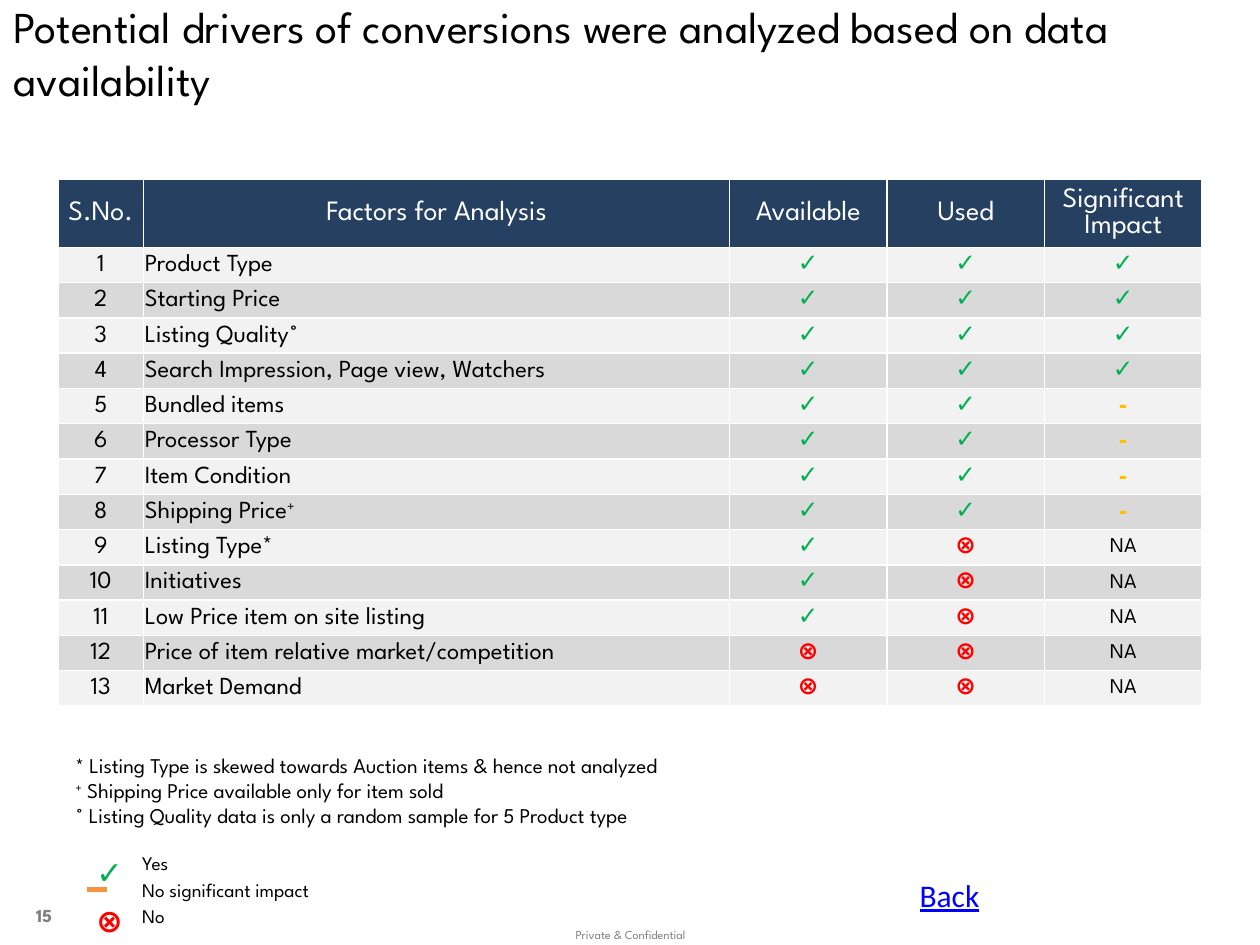
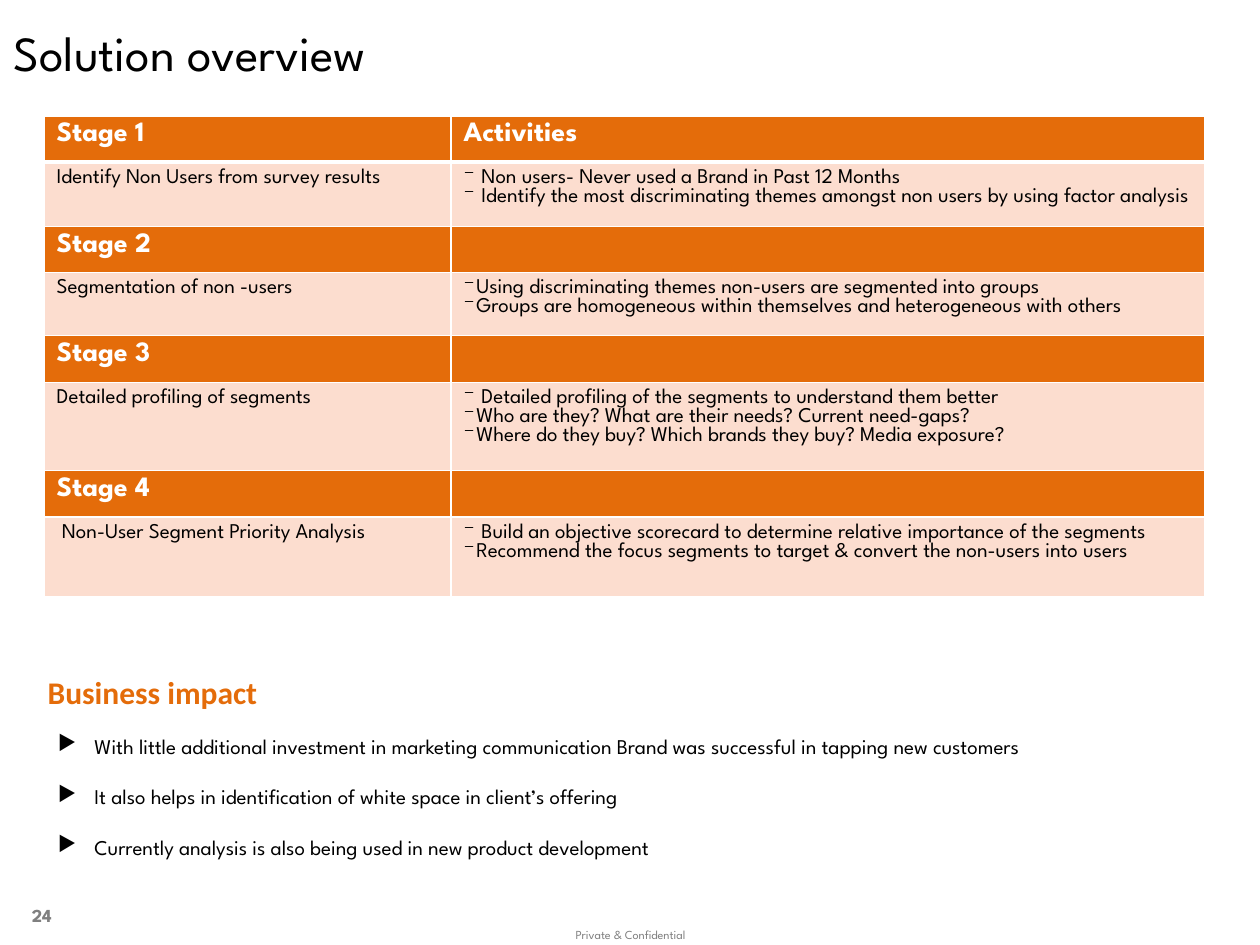
from lxml import etree
from pptx import Presentation
from pptx import util as u
from pptx.dml.color import RGBColor
from pptx.enum import shapes, text as t
from pptx.oxml.ns import qn

PX = 9144  # 100 px to the inch
FONT = "League Spartan"
COLORS = {
    "black": "000000", "white": "FFFFFF", "grey": "808080", "navy": "254061",
    "light": "F2F2F2", "band": "D9D9D9", "green": "00B050", "red": "FF0000",
    "amber": "FFC000", "dash": "F69240", "orange": "E46C0A", "peach": "FCDDCF",
    "link": "0000FF",
}
LEFT, CENTER, RIGHT = t.PP_ALIGN.LEFT, t.PP_ALIGN.CENTER, t.PP_ALIGN.RIGHT
TOP, MIDDLE = t.MSO_ANCHOR.TOP, t.MSO_ANCHOR.MIDDLE


def write(target, text, at=None, size=12, color="black", bold=False, underline=False,
          font=FONT, align=LEFT, anchor=TOP, inset=(10, 5, 10, 5), bullet=None,
          indent=0, before=0, spacing=None):
    """Fill a cell, or a new text box at a place; ^ marks enclose superscripts."""
    if at:
        holder = target.shapes.add_textbox(*[n * PX for n in at]).text_frame
        holder.word_wrap = True
        frame = holder
    else:
        holder, frame = target, target.text_frame
    holder.vertical_anchor = anchor
    for side, margin in zip(("left", "top", "right", "bottom"), inset):
        setattr(holder, f"margin_{side}", margin * PX)
    for i, line in enumerate(text.split("\n")):
        para = frame.add_paragraph() if i else frame.paragraphs[0]
        para.alignment = align
        if spacing:
            para.line_spacing = spacing
        if before and i:
            para.space_before = u.Pt(before)
        if bullet:
            props = para._p.get_or_add_pPr()
            props.set("marL", str(indent * PX))
            props.set("indent", str(-indent * PX))
            etree.SubElement(props, qn("a:buChar")).set("char", bullet)
        for j, part in enumerate(line.split("^")):
            if not part:
                continue
            span = para.add_run()
            span.text = part
            span.font.name, span.font.size = font, u.Pt(size)
            span.font.bold, span.font.underline = bold, underline
            span.font.color.rgb = RGBColor.from_string(COLORS[color])
            if j % 2:
                span._r.get_or_add_rPr().set("baseline", "30000")


def add_grid(page, left, top, widths, heights, fills, heavy_header=False):
    """Add a table with white borders and one fill per row."""
    table = page.shapes.add_table(len(heights), len(widths), left * PX, top * PX,
                                  sum(widths) * PX, sum(heights) * PX).table
    table.first_row = table.horz_banding = False
    for column, width in zip(table.columns, widths):
        column.width = width * PX
    for r, (row, height, fill) in enumerate(zip(table.rows, heights, fills)):
        row.height = height * PX
        for cell in row.cells:
            cell.fill.solid()
            cell.fill.fore_color.rgb = RGBColor.from_string(COLORS[fill])
            props = cell._tc.get_or_add_tcPr()
            for i, side in enumerate("LRTB"):
                heavy = heavy_header and (r, side) in ((0, "B"), (1, "T"))
                border = etree.Element(qn(f"a:ln{side}"), w=str(u.Pt(3 if heavy else 1)))
                solid = etree.SubElement(border, qn("a:solidFill"))
                etree.SubElement(solid, qn("a:srgbClr")).set("val", COLORS["white"])
                props.insert(i, border)
    return table


deck = Presentation()
deck.slide_width, deck.slide_height = 1000 * PX, 750 * PX

# Shared title, page number and footer
pages = []
for number, title, size in (
    (15, "Potential drivers of conversions were analyzed based on data availability", 25.2),
    (24, "Solution overview", 28),
):
    page = deck.slides.add_slide(deck.slide_layouts[6])
    write(page, title, at=(1, 0, 999, 83), size=size, anchor=MIDDLE)
    write(page, str(number), at=(0, 706, 51, 40), size=10.5, color="grey", bold=True,
          align=RIGHT, anchor=MIDDLE)
    write(page, "Private & Confidential", at=(381, 732, 239, 21 - 3), size=7,
          color="grey", align=CENTER, spacing=0.9)
    pages.append(page)
drivers_page, solution_page = pages

# Drivers: factor table, one mark each for available, used and significant
MARKS = {
    "y": ("✓", dict(size=14, color="green", bold=True)),
    "n": ("⊗", dict(size=14, color="red", bold=True)),
    "-": ("-", dict(size=14, color="amber", bold=True)),
    "x": ("NA", dict(size=12)),
}
headings = ("S.No.", "Factors for Analysis", "Available", "Used", "Significant Impact")
factors = (
    ("Product Type", "yyy"),
    ("Starting Price", "yyy"),
    ("Listing Quality˚", "yyy"),
    ("Search Impression, Page view, Watchers", "yyy"),
    ("Bundled items", "yy-"),
    ("Processor Type", "yy-"),
    ("Item Condition", "yy-"),
    ("Shipping Price^+^", "yy-"),
    ("Listing Type*", "ynx"),
    ("Initiatives", "ynx"),
    ("Low Price item on site listing", "ynx"),
    ("Price of item relative market/competition", "nnx"),
    ("Market Demand", "nnx"),
)
bands = ["band" if i % 2 else "light" for i in range(len(factors))]
table = add_grid(drivers_page, 46, 142, [68, 465, 125, 125, 125],
                 [54] + [28] * len(factors), ["navy"] + bands)
tight = dict(anchor=MIDDLE, inset=(1, 1, 1, 0))
for column, heading in enumerate(headings):
    write(table.cell(0, column), heading, size=16, color="white", align=CENTER, **tight)
for row, (factor, marks) in enumerate(factors, 1):
    write(table.cell(row, 0), str(row), size=14, align=CENTER, **tight)
    write(table.cell(row, 1), factor, size=14, **tight)
    for column, mark in enumerate(marks, 2):
        symbol, look = MARKS[mark]
        write(table.cell(row, column), symbol, align=CENTER, **look, **tight)

# Drivers: footnotes
write(drivers_page, "* Listing Type is skewed towards Auction items & hence not analyzed\n"
      "^+^ Shipping Price available only for item sold\n"
      "˚ Listing Quality data is only a random sample for 5 Product type",
      at=(50, 592, 770, 71))

# Drivers: legend
for label, top in (("Yes", 671), ("No significant impact", 692), ("No", 713)):
    write(drivers_page, label, at=(103, top, 380, 29), size=11)
for symbol, color, top in (("✓", "green", 672), ("⊗", "red", 710)):
    write(drivers_page, symbol, at=(67, top, 40, 36), size=18, color=color, bold=True,
          align=CENTER, inset=(0, 5, 0, 0))
dash = drivers_page.shapes.add_connector(shapes.MSO_CONNECTOR.STRAIGHT,
                                         69 * PX, 706 * PX, 85 * PX, 706 * PX)
dash.line.color.rgb = RGBColor.from_string(COLORS["dash"])
dash.line.width = u.Pt(3)
etree.SubElement(dash._element.spPr, qn("a:effectLst"))
write(drivers_page, "Back", at=(720, 690, 94, 40), size=18, color="link",
      underline=True, font="Calibri")

# Solution: a heading row and a detail row for each stage
stages = (
    ("Identify Non Users from survey results",
     " Non users- Never used a Brand in Past 12 Months\n"
     " Identify the most discriminating themes amongst non users by using factor analysis"),
    ("Segmentation of non -users",
     "Using discriminating themes non-users are segmented into groups\n"
     "Groups are homogeneous within themselves and heterogeneous with others"),
    ("Detailed profiling of segments",
     " Detailed profiling of the segments to understand them better\n"
     "Who are they? What are their needs? Current need-gaps?\n"
     "Where do they buy? Which brands they buy? Media exposure?"),
    (" Non-User Segment Priority Analysis",
     " Build an objective scorecard to determine relative importance of the segments\n"
     "Recommend the focus segments to target & convert the non-users into users"),
)
table = add_grid(solution_page, 35, 92, [323, 598], [36, 51, 36, 50, 37, 70, 37, 63],
                 ["orange", "peach"] * len(stages), heavy_header=True)
for i, (goal, activities) in enumerate(stages):
    heading = dict(size=16, color="white", bold=True)
    write(table.cell(2 * i, 0), f"Stage {i + 1}", **heading)
    if i == 0:
        write(table.cell(0, 1), "Activities", **heading)
    else:
        write(table.cell(2 * i, 1), "", inset=(0, 0, 0, 0))
    write(table.cell(2 * i + 1, 0), goal)
    write(table.cell(2 * i + 1, 1), activities, bullet="⁻", indent=10)

# Solution: business impact
write(solution_page, "Business impact", at=(28, 529, 221, 40), size=18, color="orange",
      bold=True, font="Calibri")
write(solution_page,
      "With little additional investment in marketing communication Brand was "
      "successful in tapping new customers\n"
      "It also helps in identification of white space in client’s offering\n"
      "Currently analysis is also being used in new product development",
      at=(41, 577, 930, 120), inset=(5, 5, 5, 5), bullet="▶", indent=29, before=14.5)

deck.save("out.pptx")
